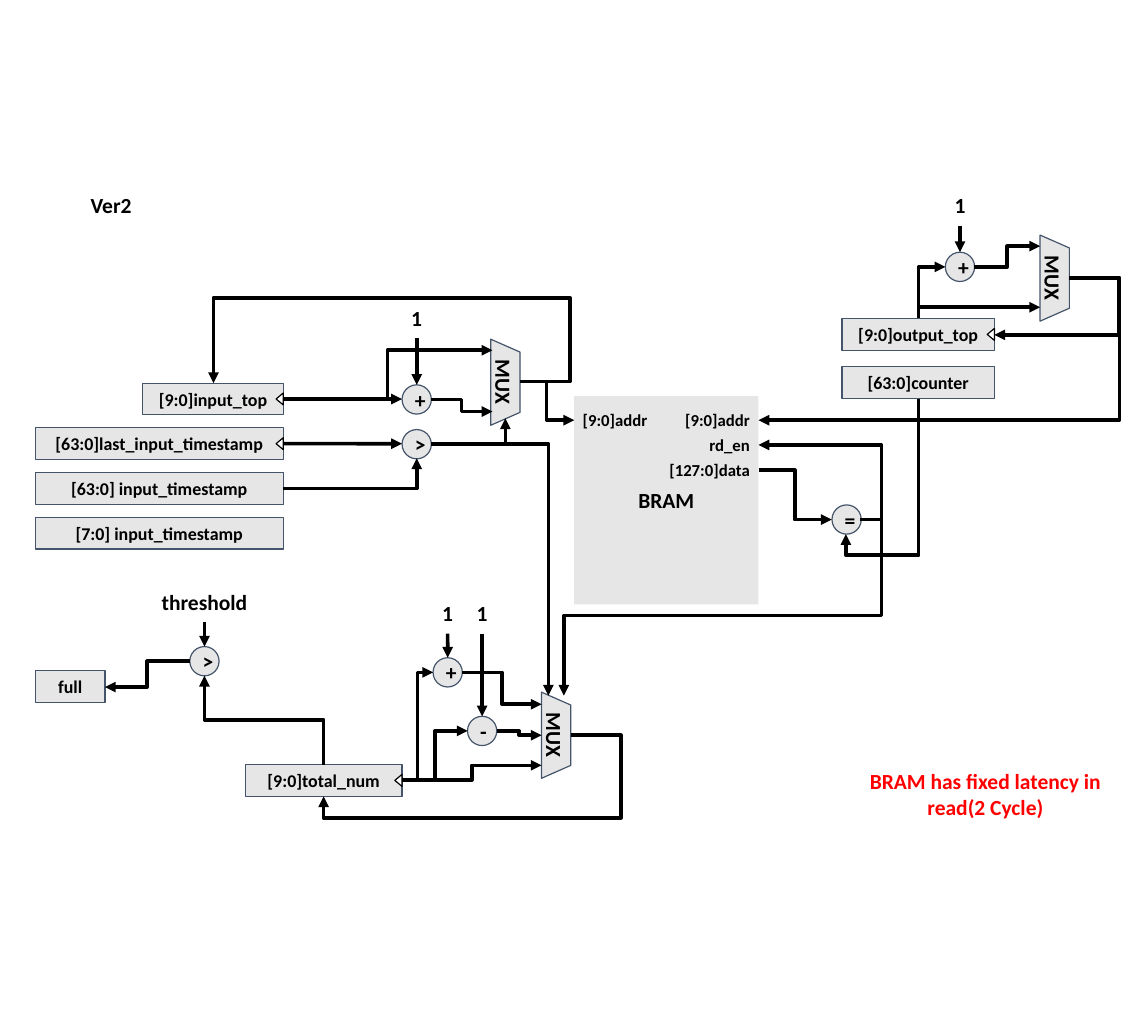
from lxml import etree
from pptx import Presentation
from pptx.dml.color import RGBColor
from pptx.enum.shapes import MSO_CONNECTOR, MSO_SHAPE
from pptx.enum.text import MSO_ANCHOR, MSO_AUTO_SIZE, PP_ALIGN
from pptx.oxml.ns import qn
from pptx.util import Pt

ELBOW, STRAIGHT = MSO_CONNECTOR.ELBOW, MSO_CONNECTOR.STRAIGHT
RECTANGLE, OVAL = MSO_SHAPE.RECTANGLE, MSO_SHAPE.OVAL
TRAPEZOID, TRIANGLE = MSO_SHAPE.TRAPEZOID, MSO_SHAPE.ISOSCELES_TRIANGLE
LEFT, CENTER, RIGHT = PP_ALIGN.LEFT, PP_ALIGN.CENTER, PP_ALIGN.RIGHT
BOTTOM_SIDE, RIGHT_SIDE = 2, 3
X, Y = 0, 1

FONT = "Calibri"
BLACK, WHITE, RED, GREY, SLATE = "000000", "FFFFFF", "FF0000", "E7E6E6", "44546A"
REGISTER_HEIGHT, DIAMETER, LABEL_HEIGHT = 26.5, 24.5, 34.6
MUX_LENGTH, MUX_DEPTH = 72, 24.5
ROW_TOP, ROW_PITCH = 320.4, 37.4

# text, left, top, width, has a clock port
REGISTERS = [
    ("[9:0]input_top", 119.5, ROW_TOP, 117.4, True),
    ("[63:0]last_input_timestamp", 29.5, ROW_TOP + ROW_PITCH, 207.4, True),
    ("[63:0] input_timestamp", 29.5, ROW_TOP + 2 * ROW_PITCH, 207.4, False),
    ("[7:0] input_timestamp", 29.5, ROW_TOP + 3 * ROW_PITCH, 207.4, False),
    ("[9:0]output_top", 704.2, 266.4, 127.4, True),
    ("[63:0]counter", 704.2, 306.7, 127.4, False),
    ("[9:0]total_num", 205.2, 639.4, 131, True),
    ("full", 29.5, 560.9, 58.3, False),
]
# symbol, center x, center y
OPERATORS = [(">", 348.5, 371.5), ("=", 708, 434.5)]
# symbol, center x, center y, operand above, operand top, operand width
FED_OPERATORS = [
    ("+", 348.5, 334.1, "1", 248.4, 43.2),
    ("+", 802.8, 223.2, "1", 154.1, 43.2),
    ("+", 374.4, 562.3, "1", 495.4, 43.2),
    ("-", 403.2, 611.3, "1", 495.4, 43.2),
    (">", 171, 553, "threshold", 486, 105.8),
]
MUX_CENTERS = [(422.6, 319.7), (882, 232.6), (465.1, 614.9)]
BRAM = (480.2, 331.2, 154.1, 174.2)
# text, left, top, width, alignment
PINS = [
    ("[9:0]addr", 480.2, 343.4, 78.5, LEFT),
    ("[9:0]addr", 555.8, 343.4, 78.5, RIGHT),
    ("rd_en", 555.8, 364.3, 78.5, RIGHT),
    ("[127:0]data", 540.7, 385.2, 93.6, RIGHT),
]
# register, end of the straight wire from its right side
STRAIGHT_WIRES = [
    ("[9:0]input_top", 336.2, 333.7),
    ("[63:0]last_input_timestamp", 336.2, 371.1),
]
# first axis, start point, then the coordinate reached by each leg, axes alternating
BENT_WIRES = [
    (X, (236.9, 408.5), (348.5, 383.4)),
    (X, (360.7, 371.2), (422.6, 349.9)),
    (X, (360.7, 371.2), (458.6, 581.8)),
    (X, (236.9, 333.7), (324, 293, 411.8)),
    (X, (360.7, 334.1), (386, 344.2, 411.8)),
    (X, (434.9, 319), (457.2, 351.4, 480.2)),
    (X, (434.9, 319), (476.6, 248.4, 178.6, 320.4)),
    (X, (634.3, 393.1), (664.6, 434.5, 695.5)),
    (Y, (768.2, 333.4), (464.4, 707.4, 446.7)),
    (X, (719.6, 434.5), (737.3, 372.2, 634.3)),
    (X, (719.6, 434.5), (737.3, 514.8, 471.6, 581.8)),
    (Y, (768.2, 266.4), (223.2, 790.6)),
    (Y, (768.2, 266.4), (257, 869.8)),
    (X, (814.3, 223.2), (842.4, 205.9, 869.8)),
    (X, (894.2, 232.6), (936, 280.1, 831.6)),
    (X, (894.2, 232.6), (936, 351.4, 634.3)),
    (X, (336.2, 652.3), (349.2, 562.3, 362.2)),
    (X, (336.2, 652.3), (394.6, 640.1, 452.9)),
    (X, (336.2, 652.3), (363.6, 611.3, 391)),
    (X, (415.4, 611.3), (434.2, 614.9, 452.9)),
    (X, (386.6, 562.3), (419.8, 589, 452.9)),
    (X, (477.4, 614.9), (519.1, 684, 270.7, 666)),
    (Y, (270.7, 639.4), (601.9, 171, 565.2)),
    (X, (158.8, 553), (123.1, 574.6, 87.8)),
]

deck = Presentation()
deck.slide_width, deck.slide_height = Pt(960), Pt(850.5)
page = deck.slides.add_slide(deck.slide_layouts[5])


def color(hex_string):
    return RGBColor.from_string(hex_string)


def write(box, text, size, align=CENTER, ink=BLACK):
    frame = box.text_frame
    frame.text = text
    frame.word_wrap = True
    frame.auto_size = MSO_AUTO_SIZE.NONE
    frame.vertical_anchor = MSO_ANCHOR.MIDDLE
    para = frame.paragraphs[0]
    para.alignment = align
    font = para.runs[0].font
    font.name, font.size, font.bold = FONT, Pt(size), True
    font.color.rgb = color(ink)


def add_label(text, left, top, width, height, size=18, align=CENTER, ink=BLACK):
    box = page.shapes.add_textbox(Pt(left), Pt(top), Pt(width), Pt(height))
    write(box, text, size, align, ink)
    return box


def add_block(kind, left, top, width, height, fill=GREY, line=SLATE):
    block = page.shapes.add_shape(kind, Pt(left), Pt(top), Pt(width), Pt(height))
    block.shadow.inherit = False
    block.fill.solid()
    block.fill.fore_color.rgb = color(fill)
    if line:
        block.line.color.rgb = color(line)
        block.line.width = Pt(1)
    else:
        block.line.fill.background()
    return block


def add_centered(kind, x, y, width, height, **colors):
    return add_block(kind, x - width / 2, y - height / 2, width, height, **colors)


def add_wire(kind, x1, y1, x2, y2):
    wire = page.shapes.add_connector(kind, Pt(x1), Pt(y1), Pt(x2), Pt(y2))
    wire.line.color.rgb = color(BLACK)
    wire.line.width = Pt(3)
    etree.SubElement(wire.line._get_or_add_ln(), qn("a:tailEnd"), type="triangle")
    etree.SubElement(wire._element.spPr, qn("a:effectLst"))
    return wire


def add_bent_wire(axis, start, legs):
    """Elbow wire; one that starts vertically is a horizontal one turned by 90 degrees."""
    end = list(start)
    for index, value in enumerate(legs):
        end[(axis + index) % 2] = value
    delta = [end[X] - start[X], end[Y] - start[Y]]
    middle = [(start[X] + end[X]) / 2, (start[Y] + end[Y]) / 2]
    half_width, half_height = abs(delta[axis]) / 2, abs(delta[1 - axis]) / 2
    wire = add_wire(ELBOW, middle[X] - half_width, middle[Y] - half_height,
                    middle[X] + half_width, middle[Y] + half_height)

    frame = wire._element.spPr.find(qn("a:xfrm"))
    if axis == Y:
        frame.set("rot", "5400000")
    if delta[axis] < 0:
        frame.set("flipH", "1")
    if (delta[X] > 0) if axis == Y else (delta[Y] < 0):
        frame.set("flipV", "1")

    geometry = wire._element.spPr.find(qn("a:prstGeom"))
    geometry.set("prst", f"bentConnector{len(legs)}")
    for index, value in enumerate(legs[:-2]):
        along = (axis + index) % 2
        share = round((value - start[along]) / delta[along] * 100000)
        etree.SubElement(geometry.find(qn("a:avLst")), qn("a:gd"),
                         name=f"adj{index + 1}", fmla=f"val {share}")


title = page.shapes.title
title.left, title.top, title.width, title.height = Pt(0), Pt(154.1), Pt(185.8), Pt(LABEL_HEIGHT)
write(title, "Ver2", 18)

registers = {}
for text, left, top, width, has_port in REGISTERS:
    registers[text] = add_block(RECTANGLE, left, top, width, REGISTER_HEIGHT)
    write(registers[text], text, 15)
    if has_port:
        port = add_centered(TRIANGLE, left + width - 3, top + REGISTER_HEIGHT / 2, 10, 6,
                            fill=WHITE, line=BLACK)
        port.rotation = 270

write(add_block(RECTANGLE, *BRAM, line=None), "BRAM", 18)
for text, left, top, width, align in PINS:
    add_label(text, left, top, width, 15.8, 14, align)

for x, y in MUX_CENTERS:
    mux = add_centered(TRAPEZOID, x, y, MUX_LENGTH, MUX_DEPTH)
    mux.adjustments[0] = 0.44
    mux.rotation = 90
    write(mux, "MUX", 18)

for symbol, x, y, *operand in OPERATORS + FED_OPERATORS:
    write(add_centered(OVAL, x, y, DIAMETER, DIAMETER), symbol, 18)
    if operand:
        text, top, width = operand
        label = add_label(text, x - width / 2, top, width, LABEL_HEIGHT)
        wire = add_wire(STRAIGHT, x, top + LABEL_HEIGHT, x, y - DIAMETER / 2)
        wire.begin_connect(label, BOTTOM_SIDE)

for text, x, y in STRAIGHT_WIRES:
    add_wire(STRAIGHT, x - 99, y, x, y).begin_connect(registers[text], RIGHT_SIDE)
for axis, start, legs in BENT_WIRES:
    add_bent_wire(axis, start, legs)

add_label("BRAM has fixed latency in read(2 Cycle)", 712.8, 646.6, 222.5, LABEL_HEIGHT, ink=RED)

deck.save("out.pptx")
